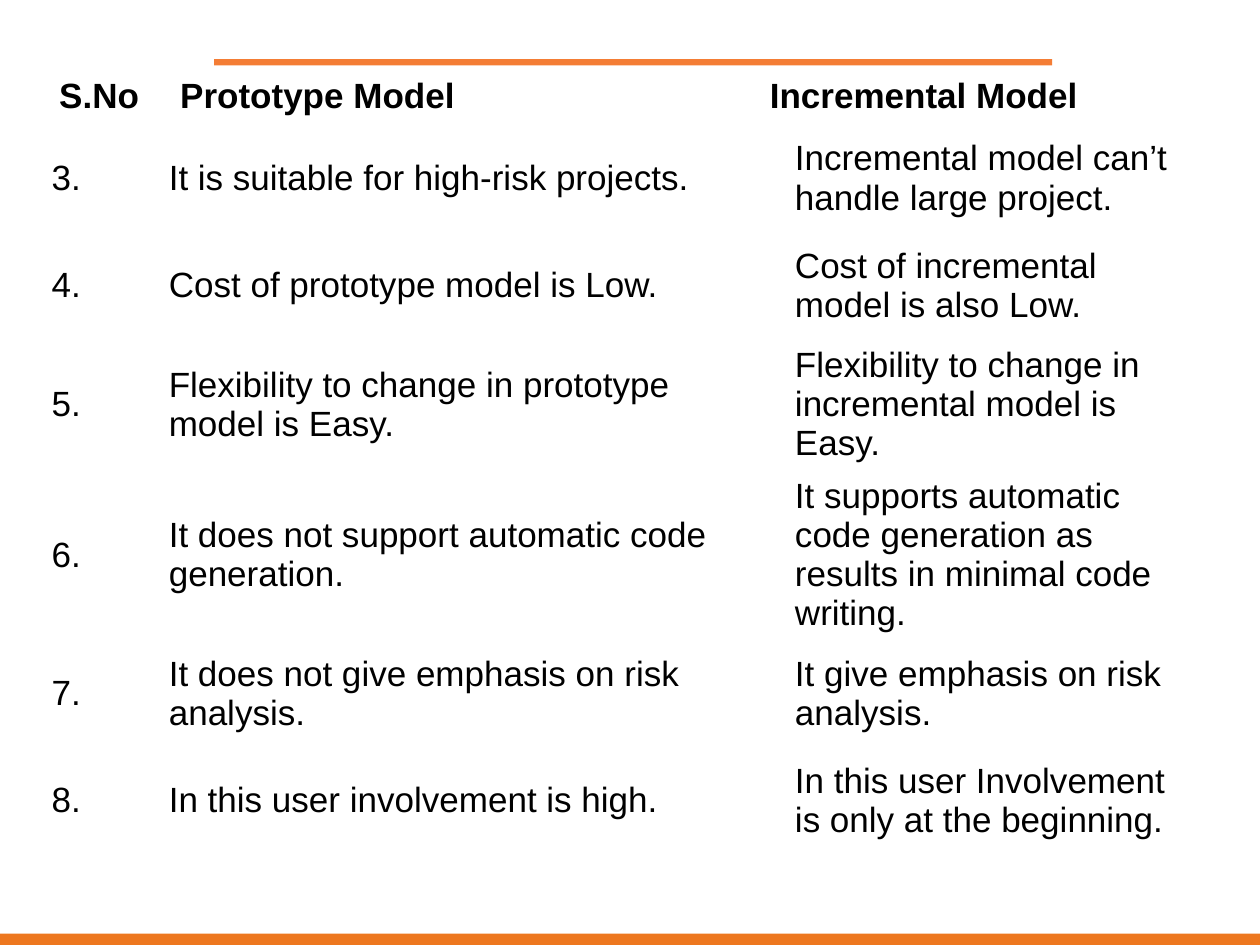
from pptx import Presentation
from pptx.dml.color import RGBColor
from pptx.enum.shapes import MSO_SHAPE
from pptx.enum.text import MSO_ANCHOR
from pptx.util import Inches, Pt

THEME = {
    "font": "Arial",
    "size": 20,
    "text": "000000",
    "paper": "FFFFFF",
    "title_rule": "F47D35",
    "footer_bar": "ED771F",
}

HEADINGS = [("S.No", "Prototype Model", "Incremental Model")]
DIFFERENCES = [
    ("3.", "It is suitable for high-risk projects.",
     "Incremental model can’t handle large project."),
    ("4.", "Cost of prototype model is Low.",
     "Cost of incremental model is also Low."),
    ("5.", "Flexibility to change in prototype model is Easy.",
     "Flexibility to change in incremental model is Easy."),
    ("6.", "It does not support automatic code generation.",
     "It supports automatic code generation as results in minimal code writing."),
    ("7.", "It does not give emphasis on risk analysis.",
     "It give emphasis on risk analysis."),
    ("8.", "In this user involvement is high.",
     "In this user Involvement is only at the beginning."),
]

BARS = [
    ((1.7, 0.47, 6.65, 0.05), "title_rule"),
    ((0, 7.41, 10, 0.09), "footer_bar"),
]
TABLES = [
    (DIFFERENCES, 0.31, 0.99, [0.93, 4.97, 3.41],
     [0.85, 0.85, 1.04, 1.35, 0.85, 0.85], False),
    (HEADINGS, 0.37, 0.56, [0.96, 4.68, 3.99], [0.4], True),
]


def paint(fill, role):
    fill.solid()
    fill.fore_color.rgb = RGBColor.from_string(THEME[role])


def write(frame, text, bold=False, size=THEME["size"], color="text"):
    run = frame.paragraphs[0].add_run()
    run.text = text
    run.font.name = THEME["font"]
    run.font.size = Pt(size)
    run.font.bold = bold
    run.font.color.rgb = RGBColor.from_string(THEME[color])


def add_bar(slide, box, role):
    bar = slide.shapes.add_shape(MSO_SHAPE.RECTANGLE, *map(Inches, box))
    bar.shadow.inherit = False
    paint(bar.fill, role)
    bar.line.fill.background()


def add_comparison(slide, rows, left, top, widths, heights, bold):
    table = slide.shapes.add_table(
        len(rows), len(widths), Inches(left), Inches(top),
        Inches(sum(widths)), Inches(sum(heights))).table
    table.first_row = False
    table.horz_banding = False
    for column, width in zip(table.columns, widths):
        column.width = Inches(width)
    for row, height, texts in zip(table.rows, heights, rows):
        row.height = Inches(height)
        for cell, text in zip(row.cells, texts):
            paint(cell.fill, "paper")
            cell.vertical_anchor = MSO_ANCHOR.MIDDLE
            write(cell.text_frame, text, bold=bold)


def main():
    deck = Presentation()
    deck.slide_width, deck.slide_height = Inches(10), Inches(7.5)
    slide = deck.slides.add_slide(deck.slide_layouts[6])
    paint(slide.background.fill, "paper")
    for box, role in BARS:
        add_bar(slide, box, role)
    for comparison in TABLES:
        add_comparison(slide, *comparison)
    deck.save("out.pptx")


if __name__ == "__main__":
    main()
